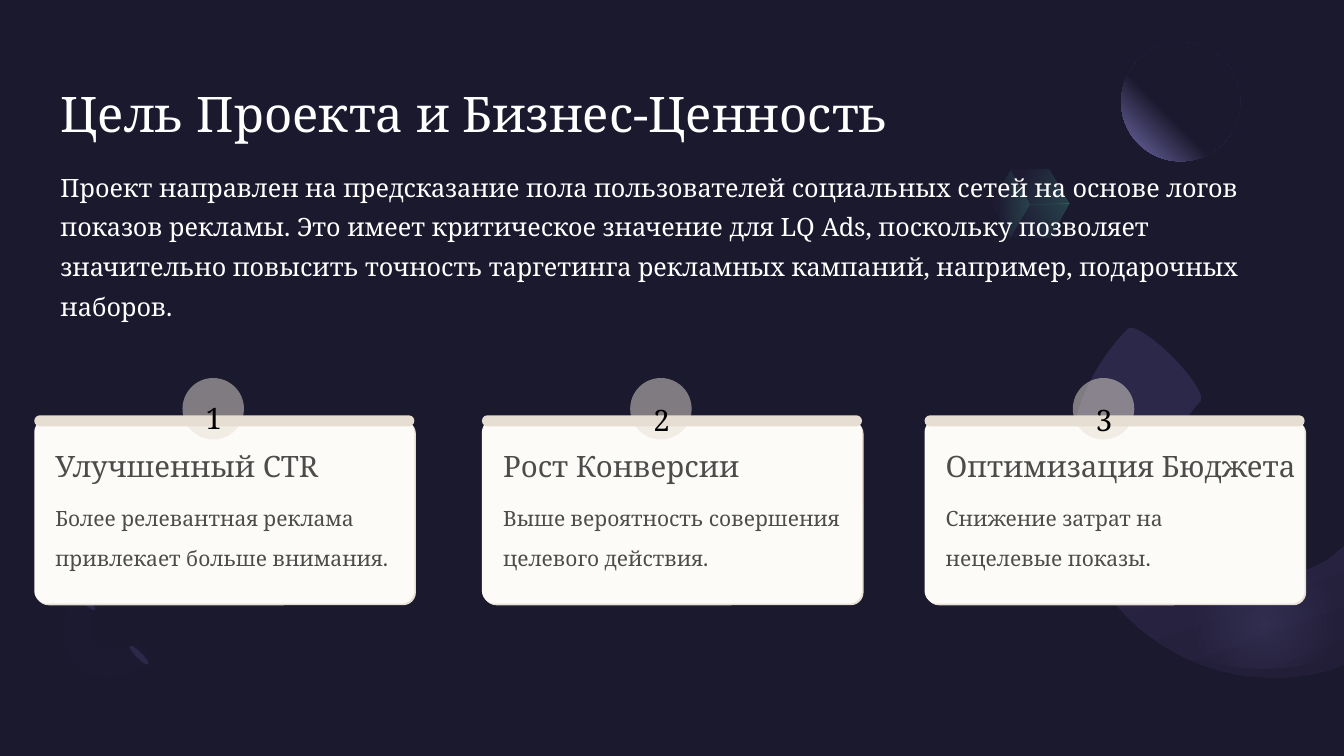
"""Build the project goal and business value slide."""
from pptx import Presentation
from pptx.dml.color import RGBColor
from pptx.enum.shapes import MSO_SHAPE
from pptx.enum.text import MSO_ANCHOR, MSO_AUTO_SIZE, PP_ALIGN
from pptx.oxml import parse_xml
from pptx.oxml.ns import nsdecls, qn
from pptx.util import Inches, Pt

OVAL, ROUNDED = MSO_SHAPE.OVAL, MSO_SHAPE.ROUNDED_RECTANGLE
TOP, BOTTOM = MSO_ANCHOR.TOP, MSO_ANCHOR.BOTTOM
LEFT, NO_FIT = PP_ALIGN.LEFT, MSO_AUTO_SIZE.NONE

THEME = {
    "font": "Noto Serif",
    "bg": "1B192E", "dusk": "221E38", "violet": "2C284A", "lilac": "7771B2", "mint": "5BEFC1",
    "card": "FDFBF7", "sand": "E6DED2",
    "white": "FFFFFF", "black": "000000", "gray": "4C4C4C",
    "title": 35, "lead": 18, "heading": 21, "text": 15,
}


def write(shape, text, size="text", color="gray", spacing=28.5, after=0, anchor=TOP):
    """Put one formatted paragraph into a shape."""
    tf = shape.text_frame
    tf.word_wrap = True
    tf.auto_size = NO_FIT
    tf.vertical_anchor = anchor
    tf.margin_left = tf.margin_right = tf.margin_top = tf.margin_bottom = 0
    p = tf.paragraphs[0]
    p.alignment = LEFT
    p.line_spacing, p.space_before, p.space_after = Pt(spacing), Pt(0), Pt(after)
    r = p.add_run()
    r.text = text
    r.font.name = THEME["font"]
    r.font.size = Pt(THEME[size])
    r.font.color.rgb = RGBColor.from_string(THEME[color])
    return p


def paint(shape, stops, angle=0, focus=None):
    """Fill a shape from (position, colour, opacity) stops, without outline or shadow."""
    colors = [f'<a:srgbClr val="{THEME[c]}"><a:alpha val="{a * 1000}"/></a:srgbClr>'
              for _, c, a in stops]
    if len(stops) == 1:
        xml = f'<a:solidFill {nsdecls("a")}>{colors[0]}</a:solidFill>'
    else:
        gs = "".join(f'<a:gs pos="{stop[0] * 1000}">{c}</a:gs>' for stop, c in zip(stops, colors))
        way = f'<a:lin ang="{angle * 60000}" scaled="0"/>'
        if focus:
            sides = " ".join(f'{k}="{v * 1000}"' for k, v in zip("ltrb", focus))
            way = f'<a:path path="circle"><a:fillToRect {sides}/></a:path>'
        xml = f'<a:gradFill {nsdecls("a")} rotWithShape="1"><a:gsLst>{gs}</a:gsLst>{way}</a:gradFill>'
    shape.fill.solid()
    spPr = shape.element.spPr
    spPr.replace(spPr.find(qn("a:solidFill")), parse_xml(xml))
    shape.line.fill.background()
    shape.shadow.inherit = False


prs = Presentation()
prs.slide_width, prs.slide_height = Inches(13.33), Inches(7.5)
s = prs.slides.add_slide(prs.slide_layouts[1])
s.background.fill.solid()
s.background.fill.fore_color.rgb = RGBColor.from_string(THEME["bg"])

glass = [(20, "violet", 20), (100, "mint", 20)]
outlines = [
    ([(0.76, 6.59), (0.56, 6.39, 0.58, 6.05, 0.81, 5.82), (0.99, 6),
      (0.87, 6.11, 0.86, 6.29, 0.96, 6.38), (1.06, 6.48, 1.23, 6.47, 1.35, 6.36),
      (1.52, 6.54), (1.3, 6.76, 0.95, 6.79, 0.76, 6.59)], [(0, "lilac", 2)], 0, None),
    ([(10.41, 1.68), (10.02, 1.68), (10.21, 2.03), (10.61, 2.02)], glass, 30, None),
    ([(10.02, 2.36), (9.83, 2.02), (10.02, 1.68), (10.21, 2.03)], glass, 0, None),
    ([(10.61, 2.02), (10.42, 2.36), (10.02, 2.36), (10.21, 2.03)], glass, 330, None),
    ([(11.19, 3.26), (10.4, 4.05, 10.4, 5.33, 11.19, 6.13),
      (11.74, 6.67, 12.52, 6.84, 13.21, 6.64), (13.33, 6.59), (13.33, 5.42), (13.19, 5.54),
      (12.79, 5.8, 12.26, 5.76, 11.91, 5.41), (11.52, 5.01, 11.52, 4.37, 11.91, 3.98)],
     [(31, "violet", 100), (97, "dusk", 100)], 70, None),
    ([(11.44, 2.99), (10.51, 3.92, 10.4, 5.31, 11.19, 6.1),
      (11.69, 6.6, 12.42, 6.74, 13.12, 6.55), (13.32, 6.49), (13.32, 5.35), (13.3, 5.36),
      (12.87, 5.61, 12.35, 5.59, 12.03, 5.26), (11.64, 4.87, 11.69, 4.17, 12.15, 3.71)],
     [(0, "lilac", 16), (30, "lilac", 0), (100, "lilac", 0)], 0, (73, 85, 27, 15)),
]
for steps, stops, angle, focus in outlines:
    corners = [(Inches(step[i]), Inches(step[i + 1]))
               for step in steps for i in range(0, len(step), 2)]
    builder = s.shapes.build_freeform(*corners[0])
    builder.add_line_segments(corners[1:], close=True)
    sp = builder.convert_to_shape()
    segments = iter(list(sp.element.spPr.iter(qn("a:lnTo"))))
    for step in steps[1:]:
        segment = next(segments)
        if len(step) == 6:
            curve = parse_xml(f'<a:cubicBezTo {nsdecls("a")}/>')
            segment.addprevious(curve)
            for line in (segment, next(segments), next(segments)):
                curve.append(line[0])
                line.getparent().remove(line)
    paint(sp, stops, angle, focus)

moon = s.shapes.add_shape(OVAL, Inches(11.12), Inches(0.42), Inches(1.18), Inches(1.18))
paint(moon, [(60, "bg", 100), (100, "lilac", 100)], focus=(100, 0, 0, 100))

for x, y, w, h in [(1.35, 6.37, 0.06, 0.26), (0.82, 5.83, 0.06, 0.26), (11.43, 3.11, 0.23, 1.02)]:
    cap = s.shapes.add_shape(OVAL, Inches(x), Inches(y), Inches(w), Inches(h))
    cap.rotation = 135
    paint(cap, [(0, "violet", 100)])

title, body = s.shapes.title, s.placeholders[1]
for sp, y, h in [(title, 0.52, 0.89), (body, 1.61, 2.14)]:
    sp.left, sp.top, sp.width, sp.height = Inches(0.6), Inches(y), Inches(12.13), Inches(h)
    s.shapes.element.append(sp.element)
write(title, "Цель Проекта и Бизнес-Ценность", size="title", color="white",
      spacing=44.5, anchor=BOTTOM)
p = write(body, "Проект направлен на предсказание пола пользователей социальных сетей на основе "
          "логов показов рекламы. Это имеет критическое значение для LQ Ads, поскольку позволяет "
          "значительно повысить точность таргетинга рекламных кампаний, например, подарочных "
          "наборов.", size="lead", color="white", after=8)
pPr = p._p.get_or_add_pPr()
pPr.set("marL", "0")
pPr.set("indent", "0")
pPr.append(parse_xml(f'<a:buNone {nsdecls("a")}/>'))

cards = [
    (0.34, 3.85, 3.89, "Улучшенный CTR", "Более релевантная реклама привлекает больше внимания."),
    (4.78, 3.87, 3.96, "Рост Конверсии", "Выше вероятность совершения целевого действия."),
    (9.17, 3.87, 3.22, "Оптимизация Бюджета", "Снижение затрат на нецелевые показы."),
]
card_parts = [
    (0, 4.16, 3.77, 1.83, 0.07, "card", 100),
    (0, 4.12, 3.77, 0.11, 0.5, "sand", 100),
    (1.47, 3.75, 0.61, 0.61, 0.5, "sand", 50),
]
for number, (x, number_y, text_w, heading, text) in enumerate(cards, 1):
    for dx, y, w, h, radius, color, opacity in card_parts:
        sp = s.shapes.add_shape(ROUNDED, Inches(x + dx), Inches(y), Inches(w), Inches(h))
        sp.adjustments[0] = radius
        paint(sp, [(0, color, opacity)])
        if color == "card":
            sp.element.spPr.find(qn("a:effectLst")).append(parse_xml(
                f'<a:outerShdw {nsdecls("a")} dist="{Pt(1.6)}" dir="2700000" algn="tl">'
                f'<a:srgbClr val="{THEME["sand"]}"/></a:outerShdw>'))
    for dx, y, w, h, words, look in [
        (1.7, number_y, 0.3, 0.38, str(number), {"size": "heading", "color": "black", "spacing": 34}),
        (0.21, 4.41, 3.77, 0.4, heading, {"size": "heading", "spacing": 27.5}),
        (0.21, 4.87, text_w, 0.81, text, {}),
    ]:
        write(s.shapes.add_textbox(Inches(x + dx), Inches(y), Inches(w), Inches(h)), words, **look)

prs.save("out.pptx")
